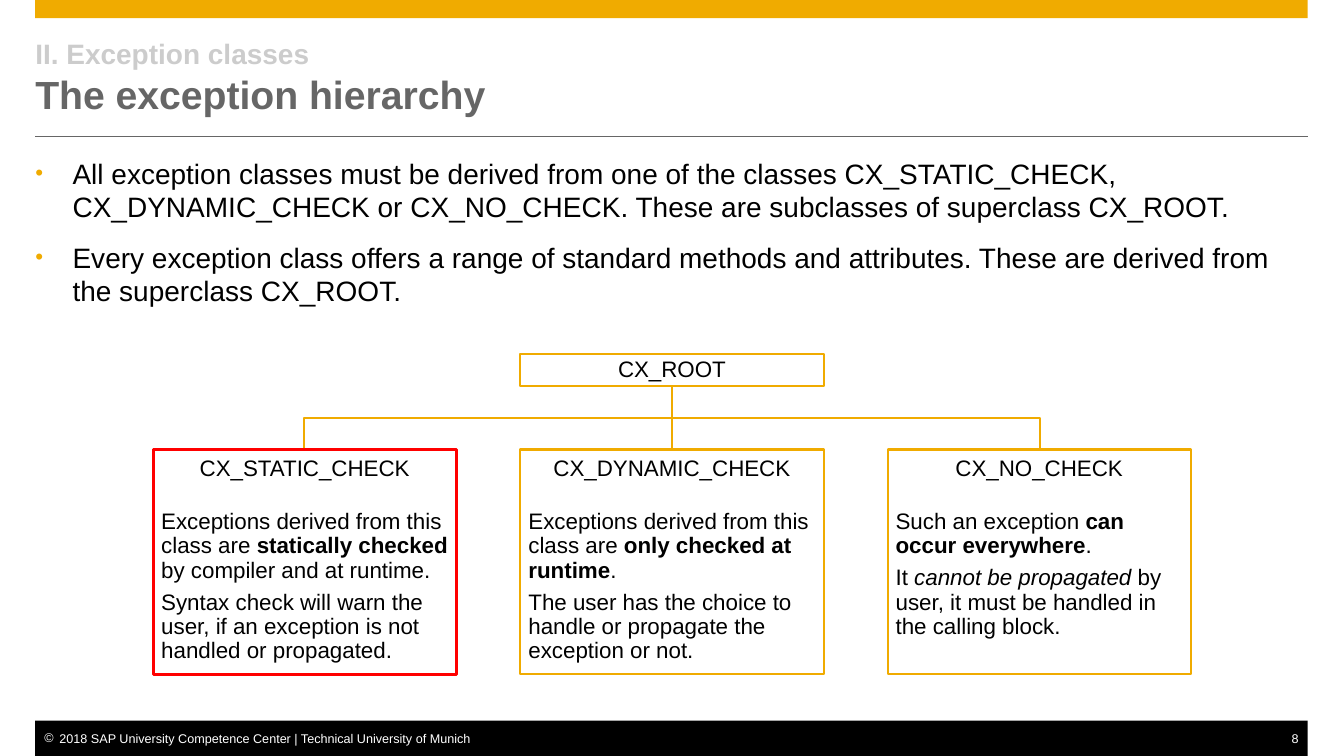
import pptx
import pptx.dml.color
import pptx.enum.shapes
import pptx.enum.text
import pptx.oxml
import pptx.oxml.ns
import pptx.util
from pptx.util import Inches

COLORS = {"gold": "F0AB00", "red": "FF0000", "black": "000000",
          "white": "FFFFFF", "gray": "666666", "light": "CCCCCC"}
ALIGN = pptx.enum.text.PP_ALIGN
ANCHOR = pptx.enum.text.MSO_ANCHOR
RECTANGLE = pptx.enum.shapes.MSO_SHAPE.RECTANGLE
STRAIGHT = pptx.enum.shapes.MSO_CONNECTOR.STRAIGHT

LEFT, WIDTH = 0.35, 12.63
BULLETS = [
    "All exception classes must be derived from one of the classes CX_STATIC_CHECK, "
    "CX_DYNAMIC_CHECK or CX_NO_CHECK. These are subclasses of superclass CX_ROOT.",
    "Every exception class offers a range of standard methods and attributes. "
    "These are derived from the superclass CX_ROOT.",
]
# Each class: name, outline colour, outline width, paragraphs of (text, format) runs
SUBCLASSES = [
    ("CX_STATIC_CHECK", "red", 2.25, [
        [("Exceptions derived from this class are ", {}),
         ("statically checked ", {"bold": True}),
         ("by compiler and at runtime.", {})],
        [("Syntax check will warn the user, if an exception is not handled or propagated.", {})]]),
    ("CX_DYNAMIC_CHECK", "gold", 1.5, [
        [("Exceptions derived from this class are ", {}),
         ("only checked at runtime", {"bold": True}), (".", {})],
        [("The user has the choice to handle or propagate the exception or not.", {})]]),
    ("CX_NO_CHECK", "gold", 1.5, [
        [("Such an exception ", {}), ("can occur everywhere", {"bold": True}), (".", {})],
        [("It ", {}), ("cannot be propagated ", {"italic": True}),
         ("by user, it must be handled in the calling block.", {})]]),
]


def rgb(name):
    return pptx.dml.color.RGBColor.from_string(COLORS[name])


def add_run(paragraph, text, size=16, color="black", bold=False, italic=False):
    run = paragraph.add_run()
    run.text = text
    font = run.font
    font.name, font.size = "Arial", pptx.util.Pt(size)
    font.bold, font.italic = bold, italic
    font.color.rgb = rgb(color)


def set_bullet(paragraph, character, color, indent, percent=100):
    properties = paragraph._p.get_or_add_pPr()
    properties.set("marL", str(Inches(indent)))
    properties.set("indent", str(-Inches(indent)))
    namespace = pptx.oxml.ns.nsdecls("a")
    for xml in (f'<a:buClr {namespace}><a:srgbClr val="{COLORS[color]}"/></a:buClr>',
                f'<a:buSzPct {namespace} val="{percent * 1000}"/>',
                f'<a:buFont {namespace} typeface="Arial"/>',
                f'<a:buChar {namespace} char="{character}"/>'):
        properties.append(pptx.oxml.parse_xml(xml))


def prepare_frame(shape, insets=(0, 0, 0, 0), anchor=ANCHOR.TOP, wrap=True):
    frame = shape.text_frame
    (frame.margin_left, frame.margin_top,
     frame.margin_right, frame.margin_bottom) = map(Inches, insets)
    frame.vertical_anchor = anchor
    frame.word_wrap = wrap
    frame.auto_size = pptx.enum.text.MSO_AUTO_SIZE.NONE
    return frame


def place(shape, *box):
    shape.left, shape.top, shape.width, shape.height = map(Inches, box)


def add_rectangle(slide, box, fill=None, line=None, line_width=1.5):
    shape = slide.shapes.add_shape(RECTANGLE, *map(Inches, box))
    shape.shadow.inherit = False
    if fill:
        shape.fill.solid()
        shape.fill.fore_color.rgb = rgb(fill)
    else:
        shape.fill.background()
    if line:
        shape.line.color.rgb = rgb(line)
        shape.line.width = pptx.util.Pt(line_width)
    else:
        shape.line.fill.background()
    return shape


def add_line(slide, start, end, color, width):
    line = slide.shapes.add_connector(STRAIGHT, *map(Inches, start + end))
    line.line.color.rgb = rgb(color)
    line.line.width = pptx.util.Pt(width)
    line._element.spPr.append(
        pptx.oxml.parse_xml(f'<a:effectLst {pptx.oxml.ns.nsdecls("a")}/>'))


def add_branch(slide, start, end):
    """Join a parent to a child below it, bending halfway down if needed."""
    if start[0] == end[0]:
        add_line(slide, start, end, "gold", 1.5)
        return
    middle = (start[1] + end[1]) / 2
    builder = slide.shapes.build_freeform(*map(Inches, start), scale=1.0)
    points = [(start[0], middle), (end[0], middle), end]
    builder.add_line_segments([tuple(map(Inches, point)) for point in points], close=False)
    shape = builder.convert_to_shape()
    shape.shadow.inherit = False
    shape.fill.background()
    shape.line.color.rgb = rgb("gold")
    shape.line.width = pptx.util.Pt(1.5)


def add_header(slide, left, width):
    add_rectangle(slide, (left, 0, width, 0.18), fill="gold")
    add_line(slide, (left, 1.35), (left + width, 1.35), "gray", 0.5)
    title = slide.shapes.title
    place(title, left, 0.35, width, 0.83)
    paragraph = prepare_frame(title, anchor=ANCHOR.MIDDLE).paragraphs[0]
    paragraph.alignment = ALIGN.LEFT
    add_run(paragraph, "II. Exception classes", size=20, color="light", bold=True)
    paragraph.add_line_break()
    add_run(paragraph, "The exception hierarchy", size=28, color="gray", bold=True)


def add_bullets(slide, left, top, width, height):
    body = slide.placeholders[1]
    place(body, left, top, width, height)
    frame = prepare_frame(body)
    for index, text in enumerate(BULLETS):
        paragraph = frame.add_paragraph() if index else frame.paragraphs[0]
        paragraph.space_before = pptx.util.Pt(12 if index else 0)
        set_bullet(paragraph, "•", "gold", 0.37, percent=80)
        add_run(paragraph, text, size=20)


def add_class_box(slide, box, name, color="gold", line_width=1.5, details=()):
    shape = add_rectangle(slide, box, line=color, line_width=line_width)
    frame = prepare_frame(shape, insets=(0.08,) * 4,
                          anchor=ANCHOR.TOP if details else ANCHOR.MIDDLE)
    heading = frame.paragraphs[0]
    heading.alignment = ALIGN.CENTER
    heading.line_spacing = 0.9
    heading.space_after = pptx.util.Pt(20.5 if details else 0)
    add_run(heading, name)
    for runs in details:
        paragraph = frame.add_paragraph()
        paragraph.alignment = ALIGN.LEFT
        paragraph.line_spacing = 0.9
        paragraph.space_after = pptx.util.Pt(5.6)
        for text, style in runs:
            add_run(paragraph, text, **style)


def add_hierarchy(slide, left, top, width):
    box_width, root_height, child_top, child_height = 3.01, 0.32, top + 0.95, 2.23
    step = (width - box_width) / (len(SUBCLASSES) - 1)
    center = left + width / 2
    child_lefts = [left + index * step for index in range(len(SUBCLASSES))]
    for child_left in child_lefts:
        child_center = round(child_left + box_width / 2, 2)
        add_branch(slide, (round(center, 2), top + root_height), (child_center, child_top))
    add_class_box(slide, (center - box_width / 2, top, box_width, root_height), "CX_ROOT")
    for child_left, subclass in zip(child_lefts, SUBCLASSES):
        add_class_box(slide, (child_left, child_top, box_width, child_height), *subclass)


def add_footer(slide, left, top, width, height):
    add_rectangle(slide, (left, top, width, height), fill="black")
    notice = slide.shapes.add_textbox(*map(Inches, (left, top + 0.1, 4.38, 0.15)))
    paragraph = prepare_frame(notice, insets=(0.09, 0, 0, 0), wrap=False).paragraphs[0]
    set_bullet(paragraph, "©", "white", 0.15)
    add_run(paragraph, "2018 SAP University Competence Center | Technical University of Munich",
            size=9, color="white")
    number = slide.shapes.add_textbox(
        *map(Inches, (left + width - 0.25, top + 0.1, 0.25, 0.15)))
    paragraph = prepare_frame(number, insets=(0, 0, 0.09, 0)).paragraphs[0]
    paragraph.alignment = ALIGN.RIGHT
    add_run(paragraph, "8", size=9, color="white")


def main():
    presentation = pptx.Presentation()
    presentation.slide_width, presentation.slide_height = Inches(13.34), Inches(7.5)
    slide = presentation.slides.add_slide(presentation.slide_layouts[1])
    add_header(slide, LEFT, WIDTH)
    add_bullets(slide, LEFT, 1.55, WIDTH, 1.8)
    add_hierarchy(slide, 1.52, 3.51, 10.3)
    add_footer(slide, LEFT, 7.15, WIDTH, 0.35)
    presentation.save("out.pptx")


if __name__ == "__main__":
    main()
